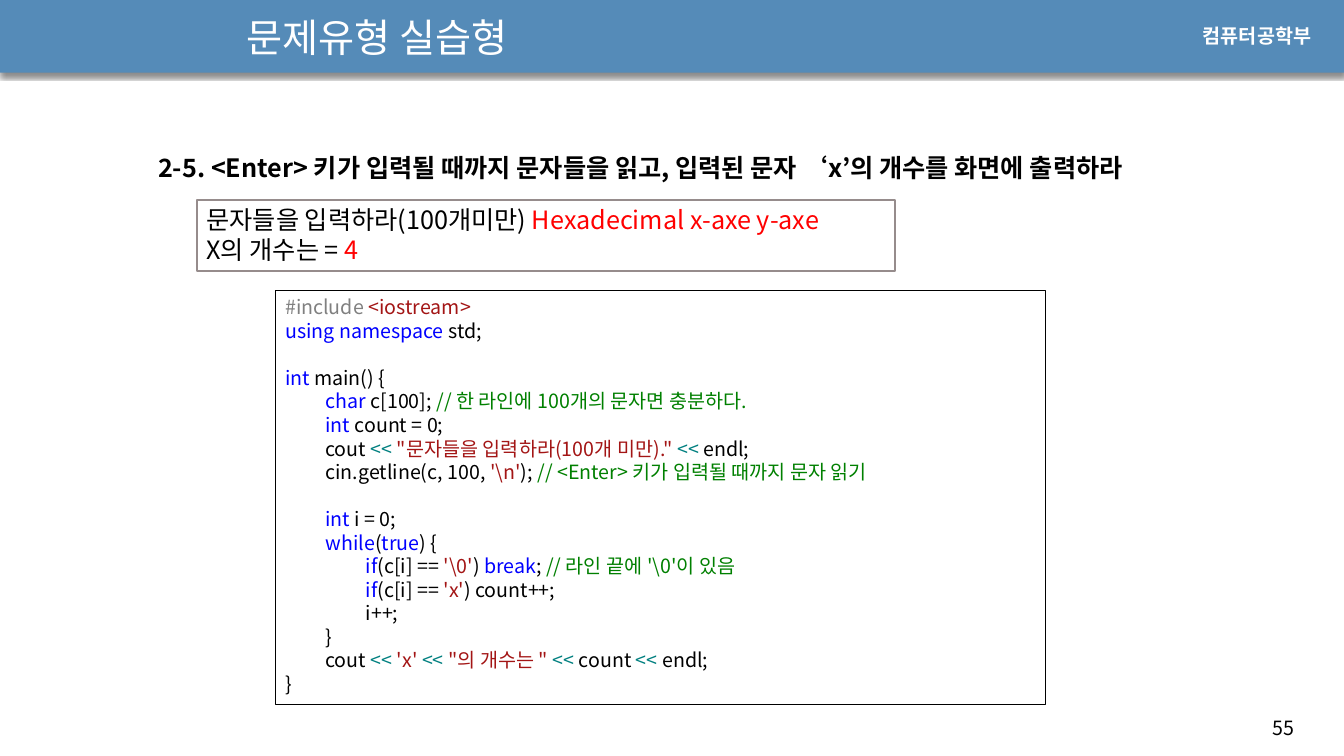
from lxml import etree
from pptx import Presentation
from pptx.dml.color import RGBColor
from pptx.enum.shapes import MSO_SHAPE as SHAPE
from pptx.enum.text import MSO_ANCHOR as ANCHOR
from pptx.oxml.ns import qn
from pptx.util import Inches, Pt

FONT = "Noto Sans CJK KR"
BLACK, WHITE, RED = "000000", "FFFFFF", "FF0000"
KEYWORD, STRING, COMMENT = "0000FF", "A31515", "008000"
OPERATOR, DIRECTIVE = "008080", "808080"


def rgb(color):
    return RGBColor.from_string(color)


def add_box(at, lines, size, font=FONT, bold=False, fill=None, line=None, spacing=None):
    """Add a box; lines hold (text, colour) runs, line is (colour, width)."""
    s = slide.shapes.add_shape(SHAPE.RECTANGLE, *map(Inches, at)) if fill \
        else slide.shapes.add_textbox(*map(Inches, at))
    if fill:
        s.shadow.inherit = False
        s.fill.solid()
        s.fill.fore_color.rgb = rgb(fill)
        if line:
            s.line.color.rgb = rgb(line[0])
            s.line.width = Pt(line[1])
        else:
            s.line.fill.background()
    tf = s.text_frame
    tf.word_wrap = True
    tf.vertical_anchor = ANCHOR.TOP
    for i, runs in enumerate(lines):
        p = tf.paragraphs[0] if i == 0 else tf.add_paragraph()
        p.alignment = 1
        if spacing:
            p.line_spacing = spacing
        for text, color in runs:
            r = p.add_run()
            r.text = text
            for name, value in {"name": font, "size": Pt(size), "bold": bold}.items():
                setattr(r.font, name, value)
            r.font.color.rgb = rgb(color)
            props = r.font._element
            etree.SubElement(props, qn("a:ea"), typeface=font)
    return s


prs = Presentation()
prs.slide_width, prs.slide_height = Inches(13.33), Inches(7.5)
slide = prs.slides.add_slide(prs.slide_layouts[6])

# Header band with a soft shadow below it
band = add_box((0, -0.01, 13.33, 0.73), [], 14, fill="558BB8")
effects = band._element.spPr.find(qn("a:effectLst"))
shadow = etree.SubElement(effects, qn("a:outerShdw"), blurRad=str(Pt(3)),
                          dist=str(Pt(2.4)), dir="5400000", rotWithShape="0")
tint = etree.SubElement(shadow, qn("a:srgbClr"), val=BLACK)
etree.SubElement(tint, qn("a:alpha"), val="45000")

add_box((12.52, 7.05, 0.71, 0.34), [[("55", BLACK)]], 14)
add_box((11.83, 0.19, 1.37, 0.34), [[("컴퓨터공학부", WHITE)]], 14, "Arial", True)
title = add_box((2.26, 0.05, 7.01, 0.63), [[(" 문제유형 실습형", WHITE)]], 28)
title.text_frame.vertical_anchor = ANCHOR.MIDDLE

question = "2-5. <Enter> 키가 입력될 때까지 문자들을 읽고, 입력된 문자 ‘x’의 개수를 화면에 출력하라"
add_box((1.47, 1.31, 10.63, 1.02), [[(question, BLACK)]], 18, bold=True, spacing=1.5)

sample_run = [
    [("문자들을 입력하라(100개미만) ", BLACK), ("Hexadecimal x-axe y-axe", RED)],
    [("X의 개수는 = ", BLACK), ("4", RED)],
]
add_box((1.95, 1.98, 6.93, 0.71), sample_run, 18, fill=WHITE, line=("968C8C", 1.5))

# Code lines: indent level, blank lines above, coloured runs
SHIFT = ("<< ", OPERATOR)
code = [
    (0, 0, [("#include ", DIRECTIVE), ("<iostream>", STRING)]),
    (0, 0, [("using namespace", KEYWORD), (" std;", BLACK)]),
    (0, 1, [("int", KEYWORD), (" main() {", BLACK)]),
    (1, 0, [("char ", KEYWORD), ("c[100]; ", BLACK),
            ("// 한 라인에 100개의 문자면 충분하다.", COMMENT)]),
    (1, 0, [("int", KEYWORD), (" count = 0;", BLACK)]),
    (1, 0, [("cout ", BLACK), SHIFT, ('"문자들을 입력하라(100개 미만)." ', STRING),
            SHIFT, ("endl;", BLACK)]),
    (1, 0, [("cin.getline(c, 100, ", BLACK), ("'\\n'", STRING), ("); ", BLACK),
            ("// <Enter> 키가 입력될 때까지 문자 읽기", COMMENT)]),
    (1, 1, [("int ", KEYWORD), ("i = 0;", BLACK)]),
    (1, 0, [("while", KEYWORD), ("(", BLACK), ("true", KEYWORD), (") {", BLACK)]),
    (2, 0, [("if", KEYWORD), ("(c[i] == ", BLACK), ("'\\0'", STRING), (") ", BLACK),
            ("break", KEYWORD), ("; ", BLACK), ("// 라인 끝에 '\\0'이 있음", COMMENT)]),
    (2, 0, [("if", KEYWORD), ("(c[i] == ", BLACK), ("'x'", STRING), (") count++;", BLACK)]),
    (2, 0, [("i++;", BLACK)]),
    (1, 0, [("}", BLACK)]),
    (1, 0, [("cout ", BLACK), SHIFT, ("'x' ", STRING), SHIFT, ('"의 개수는 " ', STRING),
            SHIFT, ("count ", BLACK), SHIFT, ("endl;", BLACK)]),
    (0, 0, [("}", BLACK)]),
]
listing = add_box((2.73, 2.88, 7.64, 4.11), [runs for _, _, runs in code], 14,
                  fill=WHITE, line=(BLACK, 0.5))
for p, (level, blanks, _) in zip(listing.text_frame.paragraphs, code):
    if level:
        p._p.get_or_add_pPr().set("indent", str(Inches(0.4 * level)))
    if blanks:
        p.space_before = Pt(16.8 * blanks)

prs.save("out.pptx")
